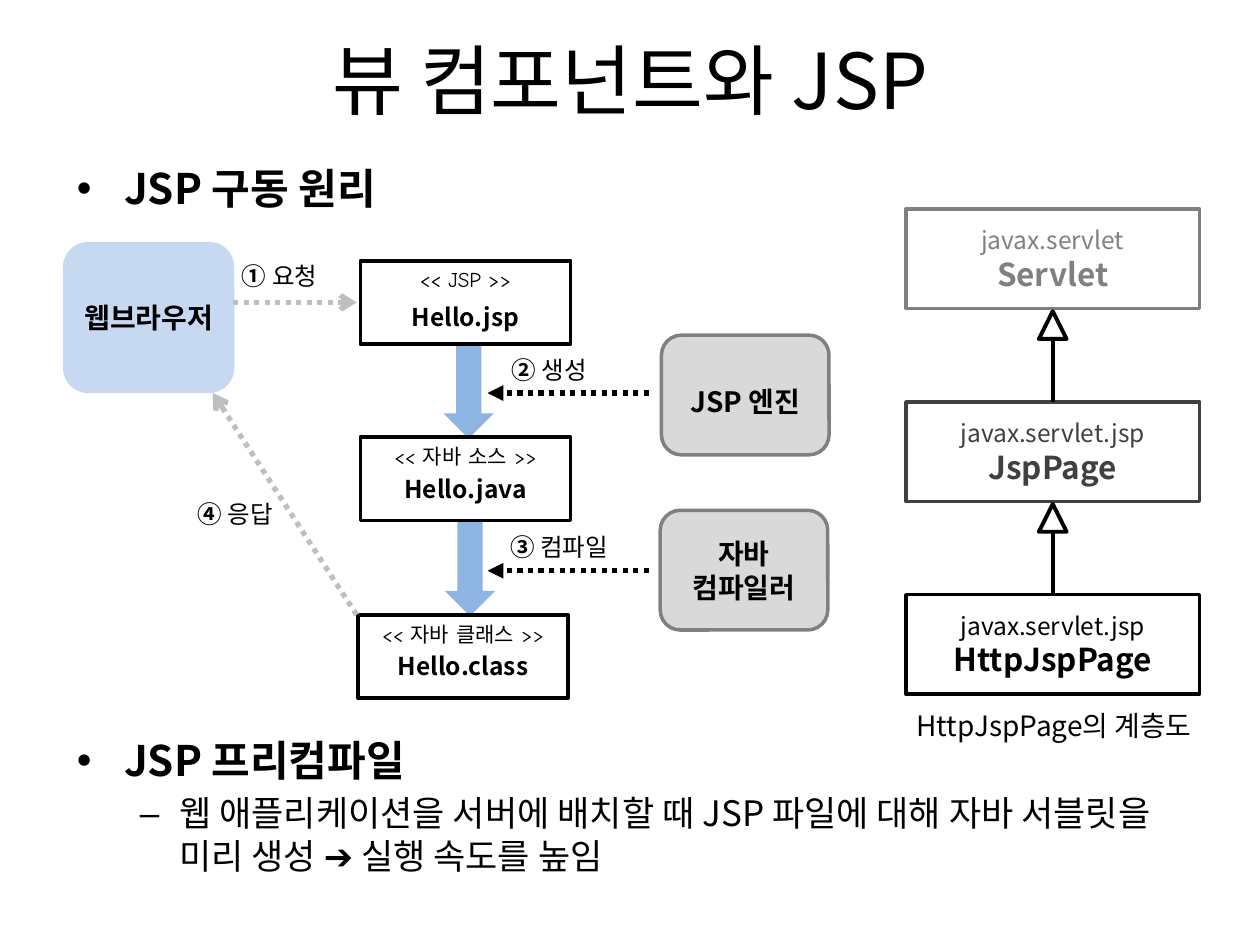
from lxml.etree import SubElement
from pptx import Presentation
from pptx.dml.color import RGBColor
from pptx.enum.dml import MSO_LINE
from pptx.enum.shapes import MSO_CONNECTOR as Connector, MSO_SHAPE as Shape
from pptx.enum.text import MSO_ANCHOR as Anchor, MSO_AUTO_SIZE as AutoSize, PP_ALIGN as Align
from pptx.oxml.ns import qn
from pptx.util import Inches, Pt

SANS = "Noto Sans CJK KR"
COMIC = "Comic Neue"
BLACK, DARK, GRAY, SILVER = "000000", "404040", "808080", "BFBFBF"
LIGHT, SKY, BLUE = "D9D9D9", "C6D9F1", "8EB4E3"


def color(value):
    return RGBColor.from_string(value)


def run(text, size, bold=False, ink=BLACK, font=SANS):
    return dict(text=text, size=size, bold=bold, ink=ink, font=font)


class SlideBuilder:
    def __init__(self, slide):
        self.slide = slide

    def add_runs(self, frame, paragraphs, align=None):
        """Fill a text frame; each paragraph is a list of runs."""
        for index, runs in enumerate(paragraphs):
            paragraph = frame.paragraphs[0] if index == 0 else frame.add_paragraph()
            paragraph.alignment = align
            for style in runs:
                part = paragraph.add_run()
                part.text = style["text"]
                part.font.size = Pt(style["size"])
                part.font.bold = style["bold"]
                part.font.color.rgb = color(style["ink"])
                part.font.name = style["font"]
                SubElement(part.font._element, qn("a:ea"), typeface=style["font"])

    def placeholder(self, index, box, paragraphs, align=None):
        shape = self.slide.placeholders[index]
        shape.left, shape.top, shape.width, shape.height = map(Inches, box)
        shape.text_frame.auto_size = AutoSize.NONE
        self.add_runs(shape.text_frame, paragraphs, align)
        return shape

    def text(self, box, paragraphs, align=Align.CENTER, inset=True):
        frame = self.slide.shapes.add_textbox(*map(Inches, box)).text_frame
        frame.word_wrap = True
        if not inset:
            frame.margin_left = Inches(0.04)
            frame.margin_right = frame.margin_top = frame.margin_bottom = 0
        self.add_runs(frame, paragraphs, align)

    def shape(self, kind, box, fill=None, line=None, width=2, paragraphs=(), anchor=Anchor.MIDDLE):
        shape = self.slide.shapes.add_shape(kind, *map(Inches, box))
        shape.shadow.inherit = False
        if fill:
            shape.fill.solid()
            shape.fill.fore_color.rgb = color(fill)
        else:
            shape.fill.background()
        if line:
            shape.line.color.rgb = color(line)
            shape.line.width = Pt(width)
        else:
            shape.line.fill.background()
        shape.text_frame.word_wrap = True
        shape.text_frame.vertical_anchor = anchor
        self.add_runs(shape.text_frame, paragraphs, Align.CENTER)
        return shape

    def line(self, start, end, ink=BLACK, width=3, dash=None, arrow=None):
        line = self.slide.shapes.add_connector(Connector.STRAIGHT, *map(Inches, start + end))
        line.line.color.rgb = color(ink)
        line.line.width = Pt(width)
        if dash:
            line.line.dash_style = dash
        if arrow:
            SubElement(line.line._get_or_add_ln(), qn("a:tailEnd"), type=arrow)
        SubElement(line._element.spPr, qn("a:effectLst"))
        return line


def main():
    presentation = Presentation()
    presentation.slide_width, presentation.slide_height = Inches(10), Inches(7.5)
    two_content = presentation.slide_layouts[3]
    builder = SlideBuilder(presentation.slides.add_slide(two_content))

    # Title and lists
    builder.placeholder(0, (0.5, 0, 9, 1.25), [[run("뷰 컴포넌트와 JSP", 44)]], Align.CENTER)
    principle = builder.placeholder(1, (0.51, 1.24, 8.82, 0.66), [[run("JSP 구동 원리", 24, True)]])
    precompile = builder.placeholder(2, (0.51, 5.78, 8.82, 1.46), [
        [run("JSP 프리컴파일", 24, True)],
        [run("웹 애플리케이션을 서버에 배치할 때 JSP 파일에 대해 자바 서블릿을 미리 생성 ➔ 실행 속도를 높임", 20)],
    ])
    precompile.text_frame.paragraphs[1].level = 1
    for body in (principle, precompile):
        body.text_frame.paragraphs[0].space_before = Pt(0)

    # Flow arrows between the files
    for left, top in ((3.52, 2.73), (3.53, 4.14)):
        builder.shape(Shape.DOWN_ARROW, (left, top, 0.4, 0.75), BLUE)

    # File boxes
    files = [
        (2.86, 2.07, "<< JSP >>", "Hello.jsp", 0.28),
        (2.86, 3.47, "<< 자바 소스 >>", "Hello.java", 0.24),
        (2.84, 4.88, "<< 자바 클래스 >>", "Hello.class", 0.24),
    ]
    for left, top, stereotype, name, drop in files:
        builder.shape(Shape.RECTANGLE, (left, top, 1.67, 0.66), line=BLACK, anchor=Anchor.TOP,
                      paragraphs=[[run(stereotype, 12, font=COMIC)]])
        builder.text((left, top + drop, 1.67, 0.34), [[run(name, 14, True)]])

    # Browser, engine and compiler
    builder.shape(Shape.ROUNDED_RECTANGLE, (0.5, 1.92, 1.36, 1.2), SKY,
                  paragraphs=[[run("웹브라우저", 16, True)]])
    engine = builder.shape(Shape.ROUNDED_RECTANGLE, (5.25, 2.66, 1.33, 0.95), LIGHT, GRAY,
                           paragraphs=[[run("JSP 엔진", 16, True)]])
    engine.text_frame.margin_top = Inches(0.15)
    builder.shape(Shape.ROUNDED_RECTANGLE, (5.24, 4.05, 1.33, 0.95), LIGHT, GRAY,
                  paragraphs=[[run("자바", 16, True)], [run("컴파일러", 16, True)]])

    # Numbered steps
    steps = [
        ("①", "요청", (1.88, 2.07, 0.96, 0.24), (1.85, 2.4), (2.83, 2.4), SILVER, "arrow"),
        ("②", "생성", (4.02, 2.82, 0.76, 0.24), (5.15, 3.12), (3.87, 3.12), BLACK, "triangle"),
        ("③", "컴파일", (4.01, 4.22, 1.23, 0.24), (5.15, 4.53), (3.87, 4.53), BLACK, "triangle"),
        ("④", "응답", (1.53, 3.96, 0.91, 0.24), (2.83, 4.88), (1.69, 3.12), SILVER, "arrow"),
    ]
    for number, label, box, start, end, ink, arrow in steps:
        builder.line(start, end, ink, dash=MSO_LINE.ROUND_DOT, arrow=arrow)
        builder.text(box, [[run(number + " ", 14, True), run(label, 14)]], Align.LEFT, inset=False)

    # Class hierarchy, each class joined to its parent
    left, width, height, pitch = 7.19, 2.33, 0.79, 1.53
    center = left + width / 2
    triangle_size = 0.22
    classes = [
        ("javax.servlet", "Servlet", GRAY),
        ("javax.servlet.jsp", "JspPage", DARK),
        ("javax.servlet.jsp", "HttpJspPage", BLACK),
    ]
    for index, (namespace, name, ink) in enumerate(classes):
        top = 1.66 + index * pitch
        box = builder.shape(Shape.RECTANGLE, (left, top, width, height), line=ink,
                            paragraphs=[[run(namespace, 14, ink=ink)], [run(name, 18, True, ink)]])
        if index:
            head = top - 0.72
            builder.shape(Shape.ISOSCELES_TRIANGLE,
                          (center - triangle_size / 2, head, triangle_size, triangle_size),
                          line=BLACK, width=2.25)
            link = builder.line((center, head + triangle_size), (center, top), width=2.25)
            link.end_connect(box, 0)
    builder.text((6.89, 5.57, 2.95, 0.38), [[run("HttpJspPage의 계층도", 16)]])

    presentation.save("out.pptx")


if __name__ == "__main__":
    main()
